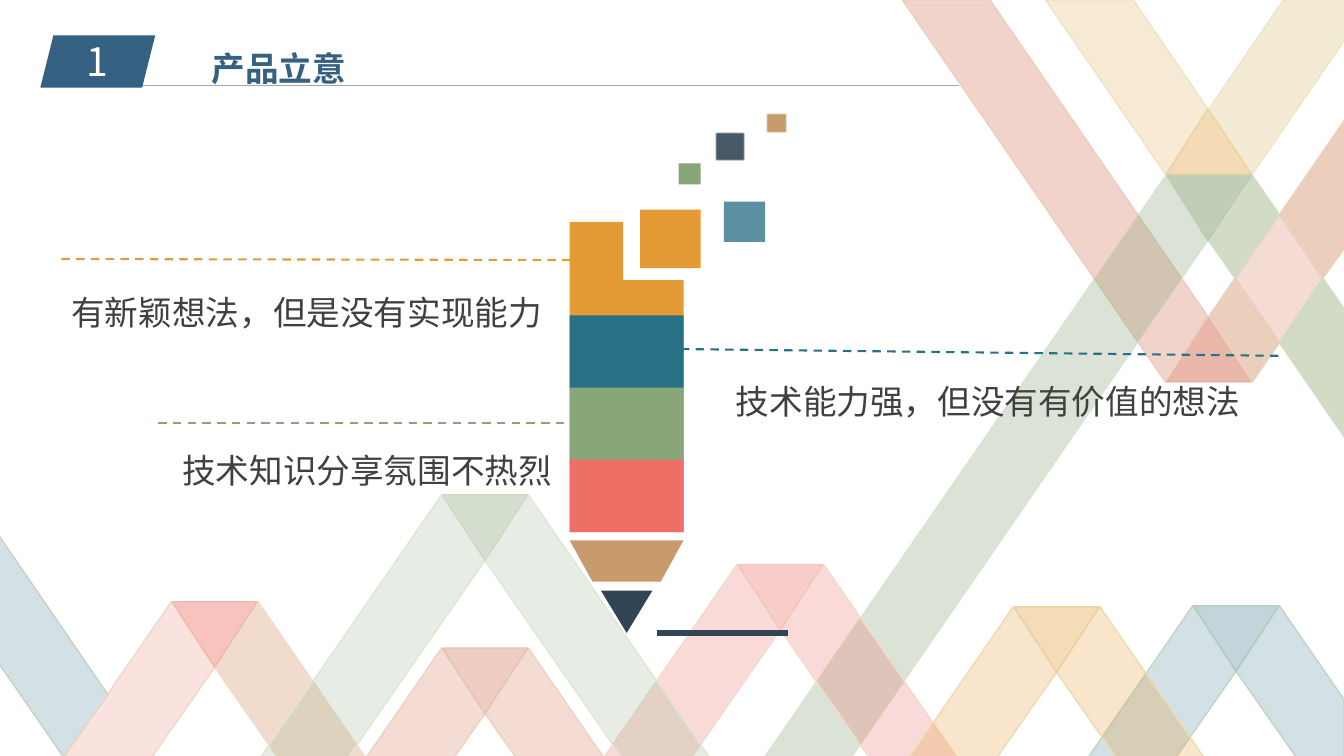
from lxml.etree import SubElement
from pptx import Presentation
from pptx.dml.color import RGBColor
from pptx.enum.dml import MSO_LINE
from pptx.enum.shapes import MSO_CONNECTOR, MSO_SHAPE
from pptx.enum.text import MSO_AUTO_SIZE, PP_ALIGN
from pptx.oxml.ns import qn
from pptx.util import Cm, Pt

FONT = "Noto Sans CJK SC"
HUES = {
    "navy": "346182", "ink": "324554", "text": "404040", "white": "FFFFFF", "gray": "A6A6A6",
    "orange": "E49B35", "teal": "287184", "green": "89A67A", "coral": "ED6F65",
    "tan": "C79B6C", "blue": "508799", "rust": "D57053", "moss": "88A378",
    "sage": "A2B894", "pink": "EE8F82", "red": "ED5249", "gold": "E7B05E",
    "cream": "EFE3C2", "sand": "F1DBCC", "clay": "EBCEBC", "mint": "D2DBC4",
    "edge_sand": "EED9C6", "edge_red": "EFBBAB", "edge_coral": "F2C7BA",
    "edge_sage": "E0E6D3", "edge_moss": "CFDAC2", "edge_rust": "EAD3BF",
    "edge_clay": "E6C6B1", "edge_gold": "EBDCB0", "edge_amber": "EBD3A3",
    "edge_blue": "C3D4C3", "edge_sea": "B5CAC1", "edge_cream": "EEE6C8",
    "edge_rose": "DF9B83", "edge_leaf": "B3C4A5",
}
WIDE, RISE, HALF, DROP, BAND = 13.33, 1.45, 0.43, 0.65, 0.87


def inch(size):
    return Cm(size * 2.54)


class Deck:
    def __init__(self):
        self.show = Presentation()
        self.show.slide_width, self.show.slide_height = inch(WIDE), inch(7.5)
        self.slide = self.show.slides.add_slide(self.show.slide_layouts[6])
        self.items = self.slide.shapes

    def group(self):
        self.items = self.slide.shapes.add_group_shape().shapes

    def leave(self):
        self.items = self.slide.shapes

    def tint(self, fill, hue, alpha=100):
        fill.solid()
        fill.fore_color.rgb = RGBColor.from_string(HUES[hue])
        if alpha < 100:
            color = fill._xPr.find(qn("a:solidFill"))[0]
            SubElement(color, qn("a:alpha")).set("val", str(alpha * 1000))

    def paint(self, shape, hue, alpha=100, edge=None, clear=100):
        shape.shadow.inherit = False
        self.tint(shape.fill, hue, alpha)
        if edge:
            shape.line.width = Pt(1)
            self.tint(shape.line.fill, edge, clear)
        else:
            shape.line.fill.background()
        return shape

    def shape(self, kind, box, hue, alpha=100, blur=0):
        shape = self.items.add_shape(kind, *map(inch, box))
        self.paint(shape, hue, alpha)
        if blur:
            glow = shape._element.spPr.find(qn("a:effectLst"))
            SubElement(glow, qn("a:softEdge")).set("rad", str(Pt(blur)))
        return shape

    def patch(self, spots, hue, alpha=100, edge=None, clear=100):
        spots = [(inch(x), inch(y)) for x, y in spots]
        maker = self.items.build_freeform(*spots[0])
        maker.add_line_segments(spots[1:], close=True)
        self.paint(maker.convert_to_shape(), hue, alpha, edge, clear)

    def peak(self, x, y, left, right, cap, base=7.54):
        run = HALF + (base - y) / RISE
        tip = (x, y + DROP)
        self.patch([(x - HALF, y), tip, (x - run + BAND, base), (x - run, base)], *left)
        foot = [(x + run, base)]
        if x + run > WIDE:
            foot = [(WIDE, y + (WIDE - x - HALF) * RISE), (WIDE, base)]
        self.patch([(x + HALF, y), *foot, (x + run - BAND, base), tip], *right)
        self.patch([(x - 0.42, y), (x + 0.42, y), tip], *cap)

    def line(self, start, end, hue, width, dash=False):
        line = self.items.add_connector(MSO_CONNECTOR.STRAIGHT, *map(inch, start + end))
        line.line.width = Pt(width)
        self.tint(line.line.fill, hue)
        if dash:
            line.line.dash_style = MSO_LINE.DASH
        SubElement(line._element.spPr, qn("a:effectLst"))

    def text(self, words, box, size, hue, align, gap=1.5, bold=False, wrap=True):
        frame = self.items.add_textbox(*map(inch, box)).text_frame
        frame.word_wrap = wrap
        frame.auto_size = MSO_AUTO_SIZE.SHAPE_TO_FIT_TEXT
        frame.text = words
        para = frame.paragraphs[0]
        para.alignment, para.line_spacing = align, gap
        font = para.runs[0].font
        font.name, font.size, font.bold = FONT, Pt(size), bold
        font.color.rgb = RGBColor.from_string(HUES[hue])
        SubElement(font._rPr, qn("a:ea")).set("typeface", FONT)


def weave(deck):
    patches = [
        ([(11.98, 3.14), (12.41, 3.79), (11.57, 3.79)], "rust", 49, "edge_rose", 49),
        ([(10.37, 0), (11.24, 0), (11.98, 1.08), (11.56, 1.73)], "gold", 25, "cream"),
        ([(12.73, 0), (13.35, 0), (13.35, 0.38), (12.42, 1.73), (11.99, 1.08)],
         "cream", 71, "edge_cream"),
        ([(12.69, 2.13), (13.12, 2.76), (12.69, 3.4), (12.25, 2.76)], "rust", 25, "edge_rust"),
        ([(13.35, 1.17), (13.35, 2.44), (13.12, 2.76), (12.69, 2.13)], "clay", 100, "clay"),
        ([(12.42, 1.74), (12.69, 2.13), (12.25, 2.76), (11.99, 2.39)], "mint", 100, "mint"),
        ([(12.25, 2.76), (12.69, 3.4), (12.42, 3.79), (11.99, 3.14)], "clay", 100, "clay"),
        ([(13.12, 2.76), (13.35, 3.09), (13.35, 4.36), (12.69, 3.4)], "mint", 100, "mint"),
        ([(11.98, 1.08), (12.41, 1.73), (11.57, 1.73)], "orange", 36, "edge_amber"),
        ([(11.98, 2.39), (12.41, 1.74), (11.57, 1.74)], "moss", 53, "edge_leaf", 53),
        ([(-0.04, 5.27), (1.07, 6.89), (0.63, 7.51), (-0.04, 6.54)], "blue", 25, "edge_blue"),
        ([(8.95, 0), (9.82, 0), (11.98, 3.14), (11.56, 3.79)], "rust", 30, "clay"),
        ([(11.56, 1.74), (11.98, 2.39), (8.43, 7.54), (7.56, 7.54)], "moss", 30, "mint", 30),
    ]
    for patch in patches:
        deck.patch(*patch)
    deck.peak(2.13, 5.97, ("pink", 25, "edge_sand"), ("sand", 100, "sand"),
              ("red", 35, "edge_red"))
    peaks = [
        (7.74, 5.6, "coral", "sand", "coral", "edge_coral", 7.54),
        (4.81, 4.91, "sage", "edge_sage", "green", "edge_moss", 7.55),
        (4.81, 6.43, "rust", "edge_rust", "rust", "edge_clay", 7.54),
        (12.26, 6.01, "blue", "edge_blue", "blue", "edge_sea", 7.52),
        (10.48, 6.02, "orange", "edge_gold", "orange", "edge_amber", 7.55),
    ]
    for x, y, hue, edge, cap, rim, base in peaks:
        leg = (hue, 25, edge)
        deck.peak(x, y, leg, leg, (cap, 35, rim), base)


def pencil(deck):
    deck.group()
    tip = deck.shape(MSO_SHAPE.ISOSCELES_TRIANGLE, (5.96, 5.86, 0.51, 0.42), "ink")
    tip.rotation = 180
    deck.shape(MSO_SHAPE.FLOWCHART_MANUAL_OPERATION, (5.65, 5.36, 1.13, 0.41), "tan")
    deck.patch([(5.65, 2.2), (6.18, 2.2), (6.18, 2.78), (6.78, 2.78), (6.78, 5.28),
                (5.65, 5.28)], "orange")
    bits = [
        ((6.35, 2.08, 0.6, 0.58), "orange"),
        ((6.73, 1.62, 0.22, 0.21), "green"),
        ((7.59, 1.12, 0.22, 0.21), "tan", 100, 1),
        ((7.09, 1.31, 0.3, 0.29), "ink", 89, 1),
        ((7.18, 2, 0.41, 0.4), "blue", 92),
    ]
    for bit in bits:
        deck.shape(MSO_SHAPE.RECTANGLE, *bit)
    deck.line((6.52, 6.28), (7.82, 6.28), "ink", 4.5)
    for row, hue in enumerate(("teal", "green", "coral")):
        deck.shape(MSO_SHAPE.RECTANGLE, (5.65, 3.13 + row * 0.715, 1.13, 0.72), hue)
    deck.leave()


def main():
    deck = Deck()
    deck.text("产品立意", (2, 0.23, 1.55, 0.71), 24, "navy", PP_ALIGN.LEFT, bold=True, wrap=False)
    weave(deck)
    deck.line((0.87, 0.85), (9.51, 0.85), "gray", 0.5)
    deck.shape(MSO_SHAPE.PARALLELOGRAM, (0.4, 0.35, 1.14, 0.52), "navy")
    deck.text("1", (0.41, 0.32, 1.12, 0.57), 28, "white", PP_ALIGN.CENTER, gap=1)
    pencil(deck)
    notes = [
        ((0.61, 2.57), (5.91, 2.58), "orange", "有新颖想法，但是没有实现能力", (0.61, 2.65, 5.06, 0.71)),
        ((1.57, 4.2), (5.91, 4.2), "green", "技术知识分享氛围不热烈", (1.71, 4.21, 4.03, 0.64)),
        ((12.68, 3.53), (6.49, 3.46), "teal", "技术能力强，但没有有价值的想法", (7.2, 3.53, 5.49, 0.71)),
    ]
    for start, end, hue, words, box in notes:
        deck.line(start, end, hue, 1.5, dash=True)
        deck.text(words, box, 24, "text", PP_ALIGN.JUSTIFY)
    deck.show.save("out.pptx")


if __name__ == "__main__":
    main()
